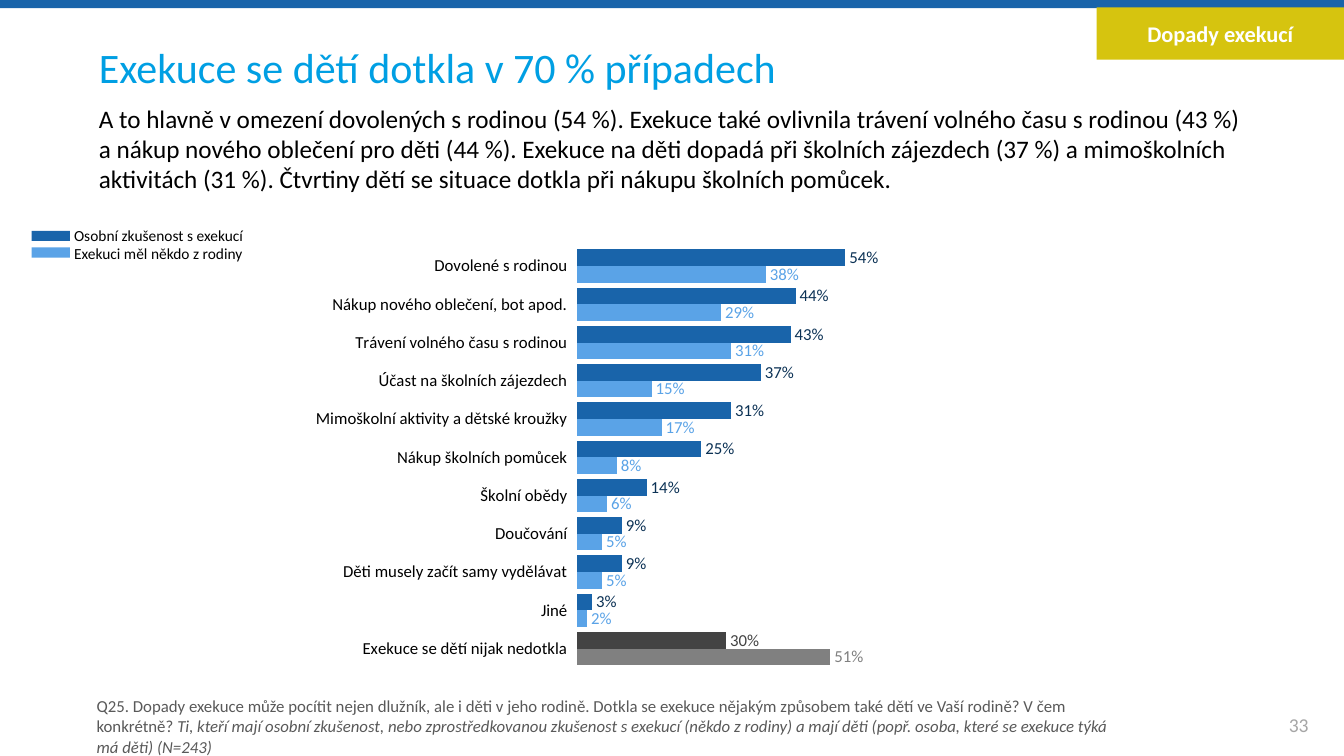
"""Build the slide on how debt enforcement affects children."""
from lxml import etree
from pptx import Presentation
from pptx import util as u
from pptx.chart import data as cd
from pptx.dml import color
from pptx.enum import chart as ce, shapes, text

FONT = "Calibri"
NAVY, SKY = "1964AA", "5AA3E7"
TITLE = "Exekuce se dětí dotkla v 70 % případech"
LEAD = ("A to hlavně v omezení dovolených s rodinou (54 %). Exekuce také ovlivnila "
        "trávení volného času s rodinou (43 %) a nákup nového oblečení pro děti (44 %). "
        "Exekuce na děti dopadá při školních zájezdech (37 %) a mimoškolních aktivitách "
        "(31 %). Čtvrtiny dětí se situace dotkla při nákupu školních pomůcek.")
ASK = ("Q25. Dopady exekuce může pocítit nejen dlužník, ale i děti v jeho rodině. Dotkla se "
       "exekuce nějakým způsobem také dětí ve Vaší rodině? V čem konkrétně? ")
BASE = ("Ti, kteří mají osobní zkušenost, nebo zprostředkovanou zkušenost s exekucí (někdo "
        "z rodiny) a mají děti (popř. osoba, které se exekuce týká má děti) (N=243)")
ROWS = [
    ("Dovolené s rodinou", 0.54, 0.38),
    ("Nákup nového oblečení, bot apod.", 0.44, 0.29),
    ("Trávení volného času s rodinou", 0.43, 0.31),
    ("Účast na školních zájezdech", 0.37, 0.15),
    ("Mimoškolní aktivity a dětské kroužky", 0.31, 0.17),
    ("Nákup školních pomůcek", 0.25, 0.08),
    ("Školní obědy", 0.14, 0.06),
    ("Doučování", 0.09, 0.05),
    ("Děti musely začít samy vydělávat", 0.09, 0.05),
    ("Jiné", 0.03, 0.02),
    ("Exekuce se dětí nijak nedotkla", 0.30, 0.51),
]
GROUPS = [
    {"name": "Osobní zkušenost s exekucí", "fill": NAVY, "label": "0C3255", "last": "434343"},
    {"name": "Exekuci měl někdo z rodiny", "fill": SKY, "label": SKY, "last": "808080"},
]
PLOT = {"x": 0.447, "y": 0.031, "w": 0.482, "h": 0.924}

deck = Presentation()
deck.slide_width, deck.slide_height = u.Pt(960), u.Pt(540)
slide = deck.slides.add_slide(deck.slide_layouts[6])


def rgb(code):
    return color.RGBColor.from_string(code)


def paint(fill, code):
    fill.solid()
    fill.fore_color.rgb = rgb(code)


def style(font, size, code, bold=False, slant=False):
    font.name, font.size, font.color.rgb = FONT, u.Pt(size), rgb(code)
    font.bold, font.italic = bold, slant


def write(shape, paras, size, code, pad, mid=True, center=False, bold=False):
    frame = shape.text_frame
    frame.word_wrap = True
    frame.margin_left, frame.margin_top, frame.margin_right, frame.margin_bottom = map(u.Pt, pad)
    frame.vertical_anchor = text.MSO_ANCHOR.MIDDLE if mid else text.MSO_ANCHOR.TOP
    for i, runs in enumerate(paras):
        para = frame.add_paragraph() if i else frame.paragraphs[0]
        para.alignment = text.PP_ALIGN.CENTER if center else text.PP_ALIGN.LEFT
        for words, slant in runs:
            run = para.add_run()
            run.text = words
            style(run.font, size, code, bold, slant)


def block(area, code):
    rect = slide.shapes.add_shape(shapes.MSO_SHAPE.RECTANGLE, *map(u.Pt, area))
    rect.shadow.inherit = False
    paint(rect.fill, code)
    rect.line.fill.background()
    return rect


def label(area, *args, **opts):
    write(slide.shapes.add_textbox(*map(u.Pt, area)), *args, **opts)


def set_plot(chart):
    area = chart._chartSpace.chart.plotArea
    for old in area.xpath("c:layout"):
        area.remove(old)
    space = "{http://schemas.openxmlformats.org/drawingml/2006/chart}"
    layout = etree.Element(space + "layout")
    manual = etree.SubElement(layout, space + "manualLayout")
    parts = [("layoutTarget", "inner"), ("xMode", "edge"), ("yMode", "edge"), *PLOT.items()]
    for tag, val in parts:
        etree.SubElement(manual, space + tag).set("val", str(val))
    area.insert(0, layout)


def draw_chart(area):
    data = cd.CategoryChartData(number_format="0%")
    names, *values = zip(*ROWS)
    data.categories = names
    for group, vals in zip(GROUPS, values):
        data.add_series(group["name"], vals)
    chart = slide.shapes.add_chart(
        ce.XL_CHART_TYPE.BAR_CLUSTERED, *map(u.Pt, area), data).chart
    chart.has_legend = chart.has_title = False
    style(chart.font, 10.5, "000000")
    set_plot(chart)
    cats, vals = chart.category_axis, chart.value_axis
    cats.reverse_order = True
    cats.major_tick_mark = ce.XL_TICK_MARK.OUTSIDE
    cats.format.line.fill.background()
    style(cats.tick_labels.font, 12, "000000")
    vals.minimum_scale, vals.maximum_scale = 0, 1
    vals.has_major_gridlines = vals.visible = False
    plot = chart.plots[0]
    plot.gap_width, plot.overlap, plot.vary_by_categories = 30, 0, False
    end = ce.XL_LABEL_POSITION.OUTSIDE_END
    for group, bars in zip(GROUPS, plot.series):
        paint(bars.format.fill, group["fill"])
        bars.invert_if_negative = False
        tags = bars.data_labels
        tags.show_value, tags.position = True, end
        tags.number_format, tags.number_format_is_linked = "0%", False
        style(tags.font, 12, group["label"])
        point = bars.points[len(ROWS) - 1]
        paint(point.format.fill, group["last"])
        style(point.data_label.font, 12, group["last"])
        point.data_label.position = end


INSET = (7.2, 3.6, 7.2, 3.6)
block((0, 0, 960, 5.76), NAVY)
label((0, 73.5, 960, 52), [[(LEAD, False)]], 18, "000000", (70.6, 0, 70.6, 0), mid=False)
label((0, 23.8, 960, 48), [[(TITLE, False)]], 30, "009FE3", (70.6, 0, 0, 0))
label((895.7, 503.3, 64, 28.8), [[("33", False)]], 14, "A6A6A6", INSET, center=True)
label((69, 497.5, 726.5, 42.5), [[(ASK, False), (BASE, True)]], 12, "595959", (0, 0, 0, 0))
draw_chart((83.5, 166.3, 735.8, 325.4))
for i, group in enumerate(GROUPS):
    block((22.5, 164.9 + 11.9 * i, 27.4, 7.2), group["fill"])
label((45.8, 157.7, 167, 33.8), [[(g["name"], False)] for g in GROUPS], 11, "000000",
      INSET, mid=False)
write(block((783.4, 5.2, 176.6, 37.4), "D6C40F"), [[("Dopady exekucí", False)]], 16, "FFFFFF",
      INSET, center=True, bold=True)
deck.save("out.pptx")
